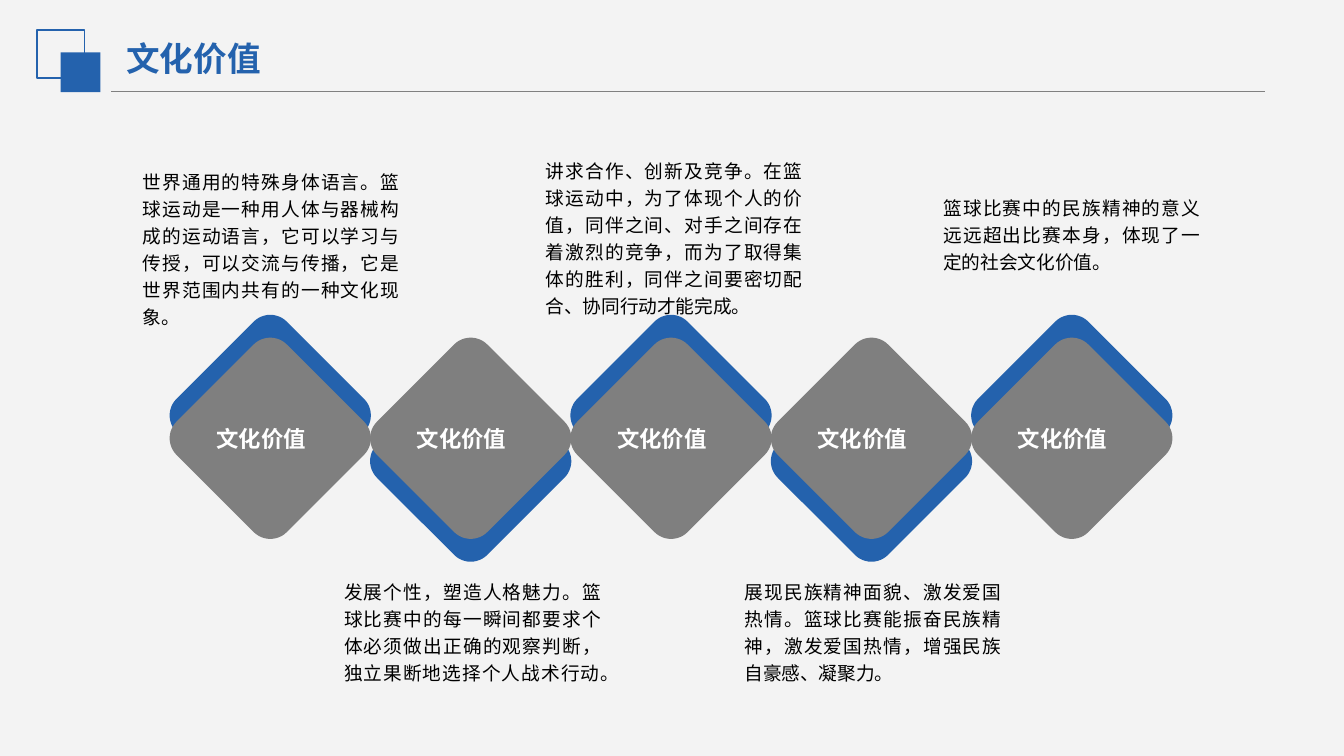
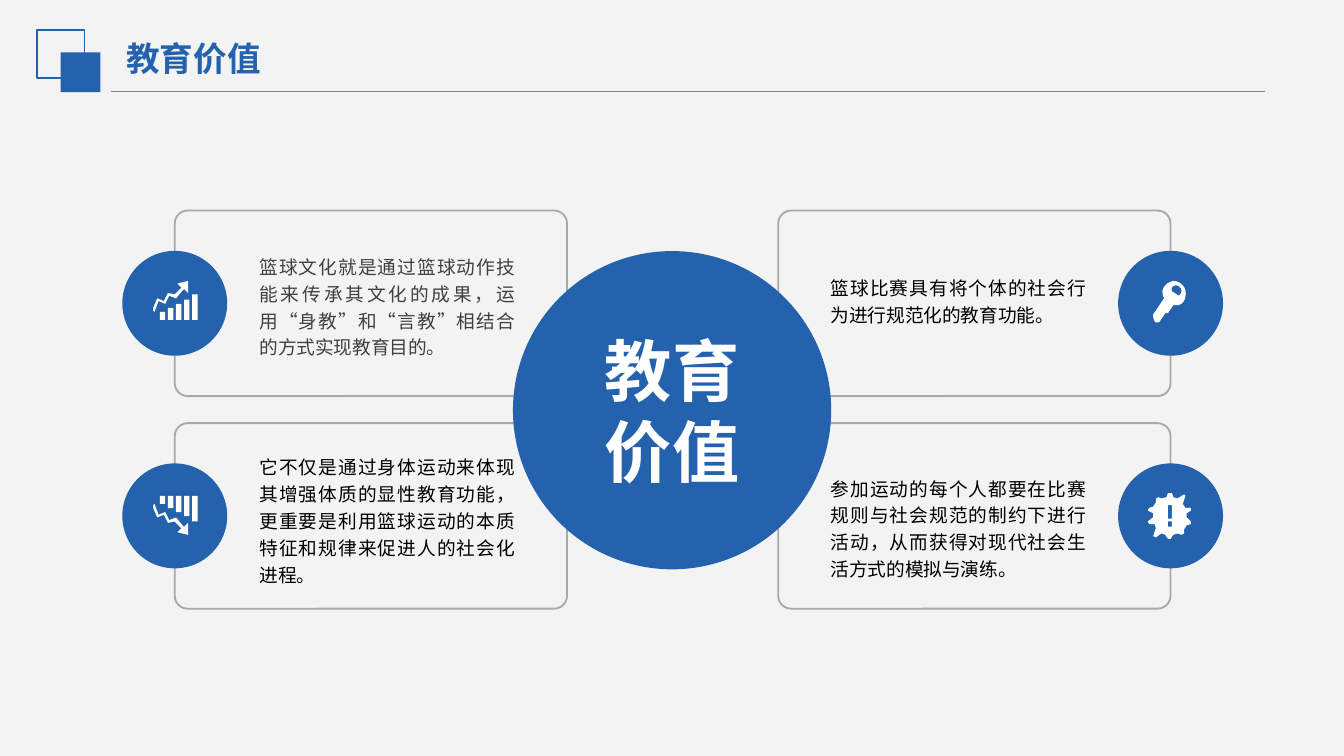
"""Build two slides on the cultural and educational value of basketball."""
from lxml.etree import SubElement
from pptx import Presentation
from pptx.dml.color import RGBColor
from pptx.enum.shapes import MSO_CONNECTOR, MSO_SHAPE
from pptx.enum.text import MSO_ANCHOR, MSO_AUTO_SIZE, PP_ALIGN
from pptx.oxml.ns import qn
from pptx.util import Pt

COLORS = {
    "paper": "F3F3F3", "blue": "2462AD", "gray": "7F7F7F", "rule": "808080",
    "border": "A6AAA9", "white": "FFFFFF", "black": "000000", "dark": "404040",
}
CJK = "Noto Sans CJK SC"

TITLE = {"font": {"name": CJK, "size": Pt(18), "bold": True}, "color": "blue",
         "frame": {"vertical_anchor": MSO_ANCHOR.MIDDLE}, "insets": (0, 3.6)}
LABEL = {"font": {"name": CJK, "size": Pt(12), "bold": True}, "color": "white",
         "frame": {"vertical_anchor": MSO_ANCHOR.MIDDLE}, "insets": (7.2, 3.6),
         "para": {"space_before": Pt(2.4)}}
HUB = {"font": {"name": CJK, "size": Pt(36), "bold": True}, "color": "white",
       "frame": {"vertical_anchor": MSO_ANCHOR.MIDDLE},
       "para": {"alignment": PP_ALIGN.CENTER, "space_before": Pt(10)}}
BODY = {"font": {"name": "Calibri", "size": Pt(10)}, "color": "black",
        "para": {"alignment": PP_ALIGN.JUSTIFY, "line_spacing": 1.2}}
GROWING = {**BODY, "frame": {"auto_size": MSO_AUTO_SIZE.SHAPE_TO_FIT_TEXT}}

CULTURE_TITLE = "文化价值"
CULTURE_NOTES = [
    (76.3, 89.3, 87.1, "世界通用的特殊身体语言。篮球运动是一种用人体与器械构成的运动语言，"
     "它可以学习与传授，可以交流与传播，它是世界范围内共有的一种文化现象。"),
    (184.3, 308.9, 56.9, "发展个性，塑造人格魅力。篮球比赛中的每一瞬间都要求个体必须做出正确的"
     "观察判断，独立果断地选择个人战术行动。"),
    (292.3, 83.5, 87.1, "讲求合作、创新及竞争。在篮球运动中，为了体现个人的价值，同伴之间、"
     "对手之间存在着激烈的竞争，而为了取得集体的胜利，同伴之间要密切配合、协同行动才能完成。"),
    (398.9, 308.9, 58.3, "展现民族精神面貌、激发爱国热情。篮球比赛能振奋民族精神，激发爱国热情，"
     "增强民族自豪感、凝聚力。"),
    (505.4, 103, 42.5, "篮球比赛中的民族精神的意义远远超出比赛本身，体现了一定的社会文化价值。"),
]

EDUCATION_TITLE = "教育价值"
EDUCATION_CARDS = [
    {"column": 0, "row": 0, "top": 134.6, "before": 25, "color": "dark", "font": CJK,
     "icon": "rise", "icon_at": (82.1, 150.5),
     "text": "篮球文化就是通过篮球动作技能来传承其文化的成果，"
             "运用“身教”和“言教”相结合的方式实现教育目的。"},
    {"column": 0, "row": 1, "top": 241.9, "before": 25, "color": "black", "font": "Calibri",
     "icon": "fall", "icon_at": (82.1, 265.7),
     "text": "它不仅是通过身体运动来体现其增强体质的显性教育功能，"
             "更重要是利用篮球运动的本质特征和规律来促进人的社会化进程。"},
    {"column": 1, "row": 0, "top": 146.2, "before": 45, "color": "black", "font": "Calibri",
     "icon": "key", "icon_at": (617.8, 150.5),
     "text": "篮球比赛具有将个体的社会行为进行规范化的教育功能。"},
    {"column": 1, "row": 1, "top": 253.4, "before": 45, "color": "black", "font": "Calibri",
     "icon": "alert", "icon_at": (614.9, 263.5),
     "text": "参加运动的每个人都要在比赛规则与社会规范的制约下进行活动，"
             "从而获得对现代社会生活方式的模拟与演练。"},
]

ICON_UNIT = 0.72
ICON_HEIGHT = 29
BAR_TOPS = [23, 20, 17, 14, 10]
ARROW = [(12, 11), (17, 13), (22, 7), (23, 6), (26, 9), (26, 0), (18, 2), (21, 5), (16, 10),
         (11, 9), (8, 15), (3, 13), (0, 20), (0, 22), (1, 23), (4, 15), (9, 17)]
KEY = [(24, 7), (23, 3, 19, 0, 15, 0), (10, 1, 6, 5, 7, 10), (7, 11, 8, 12, 8, 13),
       (0, 25), (0, 27), (1, 30), (2, 31), (4, 31), (5, 30), (9, 24), (11, 24), (15, 18),
       (16, 18, 18, 18, 19, 18), (23, 17, 25, 12, 24, 7)]
KEY_HOLE = [(20, 10), (19, 12, 18, 10, 16, 9), (14, 8, 13, 7, 14, 5),
            (15, 3, 18, 3, 19, 4), (21, 5, 22, 8, 20, 10)]
BURST = [(32, 22), (29, 19), (29, 16), (32, 14), (32, 12), (28, 12), (26, 9), (28, 3),
         (27, 2), (22, 5), (19, 4), (18, 1), (15, 1), (14, 4), (10, 5), (8, 4), (6, 5),
         (6, 8), (4, 11), (1, 12), (0, 14), (4, 16), (4, 19), (0, 22), (1, 24), (5, 24),
         (6, 27), (4, 33), (6, 34), (10, 31), (13, 32), (15, 35), (17, 35), (19, 32),
         (22, 31), (25, 32), (27, 31), (27, 28), (29, 25), (32, 24)]


def rgb(name):
    return RGBColor.from_string(COLORS[name])


def apply(target, values):
    for name, value in values.items():
        setattr(target, name, value)


def paint(shape, fill=None, line=None, weight=1):
    shape.shadow.inherit = False
    if fill:
        shape.fill.solid()
        shape.fill.fore_color.rgb = rgb(fill)
    else:
        shape.fill.background()
    if line:
        shape.line.color.rgb = rgb(line)
        shape.line.width = Pt(weight)
    else:
        shape.line.fill.background()


def add_box(page, kind, left, top, width, height, fill=None, line=None, corner=None, turn=0):
    box = page.shapes.add_shape(kind, Pt(left), Pt(top), Pt(width), Pt(height))
    paint(box, fill, line)
    box.rotation = turn
    if corner is not None:
        box.adjustments[0] = corner


def add_text(page, text, left, top, width, height, style):
    box = page.shapes.add_textbox(Pt(left), Pt(top), Pt(width), Pt(height))
    frame = box.text_frame
    side, edge = style.get("insets", (0, 0))
    apply(frame, {"word_wrap": True, "margin_left": Pt(side), "margin_right": Pt(side),
                  "margin_top": Pt(edge), "margin_bottom": Pt(edge), **style.get("frame", {})})
    para = frame.paragraphs[0]
    apply(para, style.get("para", {}))
    span = para.add_run()
    span.text = text
    apply(span.font, style["font"])
    span.font.color.rgb = rgb(style["color"])
    SubElement(span.font._element, qn("a:ea")).set("typeface", CJK)


def block(left, top, right, bottom):
    return [(left, top), (right, top), (right, bottom), (left, bottom)]


def flatten(outline, steps=6):
    points = []
    for node in outline:
        if len(node) == 2:
            points.append(node)
            continue
        start, controls = points[-1], (node[0:2], node[2:4], node[4:6])
        for step in range(1, steps + 1):
            t = step / steps
            weights = ((1 - t) ** 3, 3 * t * (1 - t) ** 2, 3 * t * t * (1 - t), t ** 3)
            points.append(tuple(sum(weight * point[axis] for weight, point
                                    in zip(weights, (start, *controls))) for axis in (0, 1)))
    return points


def icon_outlines():
    bars = [block(5 + 6 * i, top, 9 + 6 * i, ICON_HEIGHT) for i, top in enumerate(BAR_TOPS)]
    rise = [ARROW, *bars]
    return {
        "rise": rise,
        "fall": [[(x, ICON_HEIGHT - y) for x, y in outline] for outline in rise],
        "key": [KEY, KEY_HOLE],
        "alert": [BURST, block(15, 10, 18, 20), block(15, 22, 18, 26)],
    }


def add_icon(page, outlines, left, top):
    scale = 100
    builder = None
    for outline in outlines:
        points = [(x * scale, y * scale) for x, y in flatten(outline)]
        if builder is None:
            builder = page.shapes.build_freeform(*points[0], scale=Pt(ICON_UNIT) / scale)
        else:
            builder.move_to(*points[0])
        builder.add_line_segments(points[1:], close=True)
    paint(builder.convert_to_shape(Pt(left), Pt(top)), "white")


def add_page(deck, title):
    page = deck.slides.add_slide(deck.slide_layouts[6])
    page.background.fill.solid()
    page.background.fill.fore_color.rgb = rgb("paper")
    rule = page.shapes.add_connector(MSO_CONNECTOR.STRAIGHT, Pt(59.5), Pt(49.2), Pt(677.6), Pt(49.2))
    rule.line.color.rgb = rgb("rule")
    rule.line.width = Pt(0.75)
    SubElement(rule._element.spPr, qn("a:effectLst"))
    add_box(page, MSO_SHAPE.RECTANGLE, 20, 16.3, 25.3, 25.3, line="blue")
    add_box(page, MSO_SHAPE.RECTANGLE, 32.5, 28.1, 21.3, 21.3, fill="blue")
    add_text(page, title, 67.7, 15.8, 195.8, 30.2, TITLE)
    return page


def build_culture(deck):
    page = add_page(deck, CULTURE_TITLE)
    size, pitch, first, middle, shift = 83.6, 107.35, 103, 193, 12.25
    for index in range(len(CULTURE_NOTES)):
        left = first + index * pitch
        turn, offset = (135, shift) if index % 2 else (315, -shift)
        for top, fill in ((middle + offset, "blue"), (middle, "gray")):
            add_box(page, MSO_SHAPE.ROUNDED_RECTANGLE, left, top, size, size,
                    fill=fill, corner=0.15, turn=turn)
    for index, (left, top, height, text) in enumerate(CULTURE_NOTES):
        add_text(page, CULTURE_TITLE, first + index * pitch + 5.8, 226.8, 71.3, 15.8, LABEL)
        add_text(page, text, left, top, 137.5, height, GROWING)


def build_education(deck):
    page = add_page(deck, EDUCATION_TITLE)
    card_lefts, card_width, card_height = (93.6, 416.9), 210.2, 99.4
    first_top, pitch, badge = 112.8, 113.9, 56.2
    edges = (card_lefts[0], card_lefts[1] + card_width)
    for card in EDUCATION_CARDS:
        add_box(page, MSO_SHAPE.ROUNDED_RECTANGLE, card_lefts[card["column"]],
                first_top + card["row"] * pitch, card_width, card_height,
                line="border", corner=0.07)
    add_box(page, MSO_SHAPE.OVAL, 274.8, 134.5, 170.5, 170.5, fill="blue")
    icons = icon_outlines()
    for card in EDUCATION_CARDS:
        style = {**BODY, "font": {**BODY["font"], "name": card["font"]}, "color": card["color"],
                 "para": {**BODY["para"], "space_before": Pt(card["before"])}}
        add_text(page, card["text"], (139, 445)[card["column"]], card["top"], 136.8, 30, style)
        add_box(page, MSO_SHAPE.OVAL, edges[card["column"]] - badge / 2,
                first_top + card["row"] * pitch + (card_height - badge) / 2, badge, badge,
                fill="blue")
        add_icon(page, icons[card["icon"]], *card["icon_at"])
    add_text(page, EDUCATION_TITLE, 311.8, 170, 96.5, 99.4, HUB)


def main():
    deck = Presentation()
    deck.slide_width, deck.slide_height = Pt(720), Pt(405)
    build_culture(deck)
    build_education(deck)
    deck.save("out.pptx")


if __name__ == "__main__":
    main()
